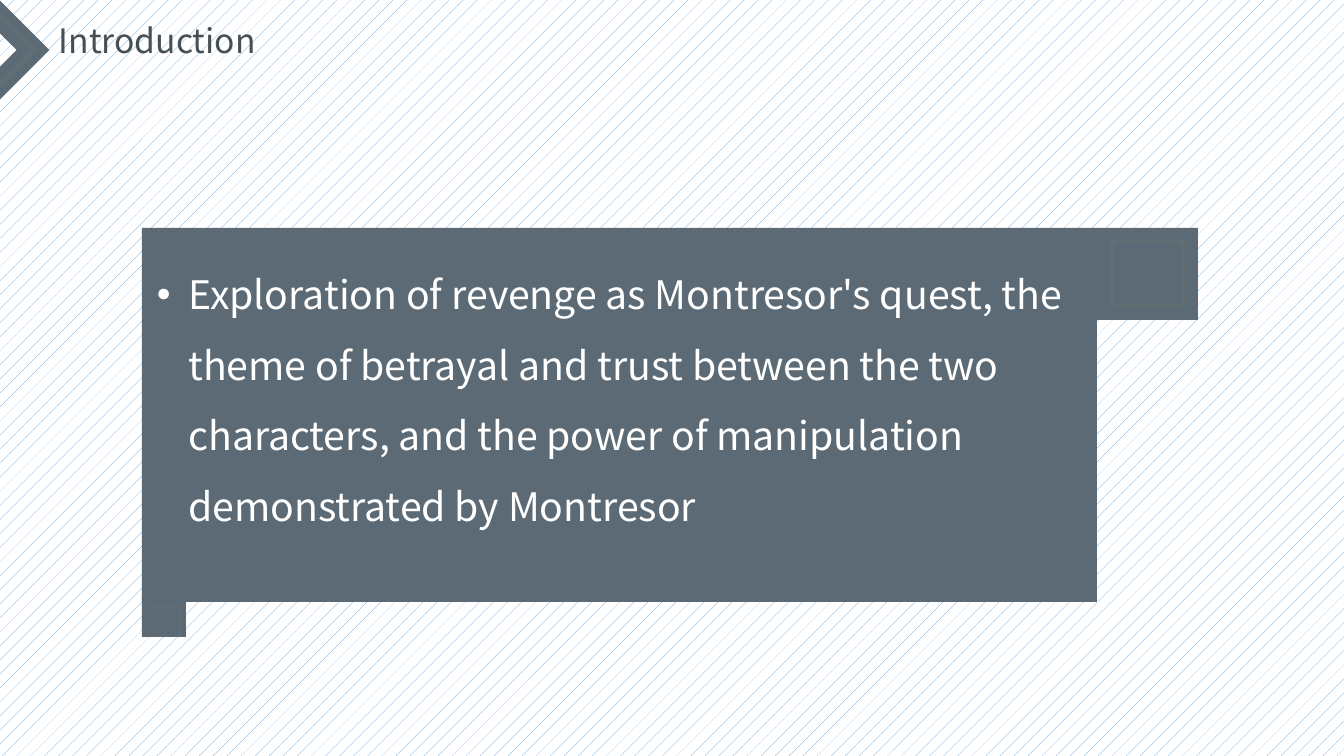
from lxml.etree import SubElement
from pptx import Presentation
from pptx.dml.color import RGBColor
from pptx.enum.dml import MSO_PATTERN
from pptx.enum.shapes import MSO_SHAPE
from pptx.oxml.ns import qn
from pptx.util import Emu, Pt

PX = 914400 / 100.8
SLATE = RGBColor(0x5B, 0x6A, 0x74)
TITLE_GREY = RGBColor(0x44, 0x4F, 0x56)
GOLD = RGBColor(0xD7, 0xB2, 0x6C)
SKY = RGBColor(0x5B, 0x9B, 0xD5)
WHITE = RGBColor(0xFF, 0xFF, 0xFF)
FONT = "Noto Sans CJK SC"


def style_shape(shape, fill=None, line_width=None):
    """Fill a shape, or give it a faint gold outline."""
    shape.shadow.inherit = False
    if fill is None:
        shape.fill.background()
    else:
        shape.fill.solid()
        shape.fill.fore_color.rgb = fill
    if line_width is None:
        shape.line.fill.background()
    else:
        shape.line.width = Pt(line_width)
        shape.line.color.rgb = GOLD
        gold = shape.line._get_or_add_ln().find(".//" + qn("a:srgbClr"))
        SubElement(gold, qn("a:alpha"), val="6000")


def add_text(page, bounds, text, size, color):
    """Add a one-paragraph text box and return its paragraph."""
    box = page.shapes.add_textbox(*[Emu(round(v * PX)) for v in bounds])
    box.text_frame.word_wrap = True
    para = box.text_frame.paragraphs[0]
    span = para.add_run()
    span.text = text
    span.font.name = FONT
    span.font.size = Pt(size)
    span.font.color.rgb = color
    properties = span.font._element
    SubElement(properties, qn("a:ea"), typeface=FONT)
    return para


deck = Presentation()
deck.slide_width = Emu(round(1344 * PX))
deck.slide_height = Emu(round(756 * PX))
page = deck.slides.add_slide(deck.slide_layouts[6])

# Patterned background
backdrop = page.background.fill
backdrop.patterned()
backdrop.pattern = MSO_PATTERN.PERCENT_5
backdrop.fore_color.rgb = SKY
backdrop.back_color.rgb = WHITE

# Corner chevron with its inner outline
chevron = page.shapes.add_shape(
    MSO_SHAPE.HALF_FRAME, *[Emu(round(v * PX)) for v in (-35, 15, 70, 70)])
chevron.rotation = 135
style_shape(chevron, fill=SLATE)

builder = page.shapes.build_freeform(0, 15, scale=PX)
builder.add_line_segments([(34, 50), (0, 85)], close=False)
style_shape(builder.convert_to_shape(), line_width=3)

# Title
add_text(page, (49, 15, 275, 50), "Introduction", 24, TITLE_GREY)

# Main panel, corner blocks and their faint frames
panels = [
    ((142, 228, 955, 374), SLATE, None),
    ((1097, 228, 101, 92), SLATE, None),
    ((142, 595, 44, 42), SLATE, None),
    ((1112, 241, 71, 65), None, 2.25),
    ((147, 607, 33, 30), None, 1),
]
for bounds, fill, line_width in panels:
    panel = page.shapes.add_shape(
        MSO_SHAPE.RECTANGLE, *[Emu(round(v * PX)) for v in bounds])
    style_shape(panel, fill, line_width)

# Bulleted statement
para = add_text(
    page, (147, 242, 926, 255),
    "Exploration of revenge as Montresor's quest, the theme of betrayal and "
    "trust between the two characters, and the power of manipulation "
    "demonstrated by Montresor", 28, WHITE)
para.line_spacing = 1.5
indent = para._p.get_or_add_pPr()
indent.set("marL", "285750")
indent.set("indent", "-285750")
SubElement(indent, qn("a:buFont"), typeface="Arial")
SubElement(indent, qn("a:buChar"), char="•")

deck.save("out.pptx")
